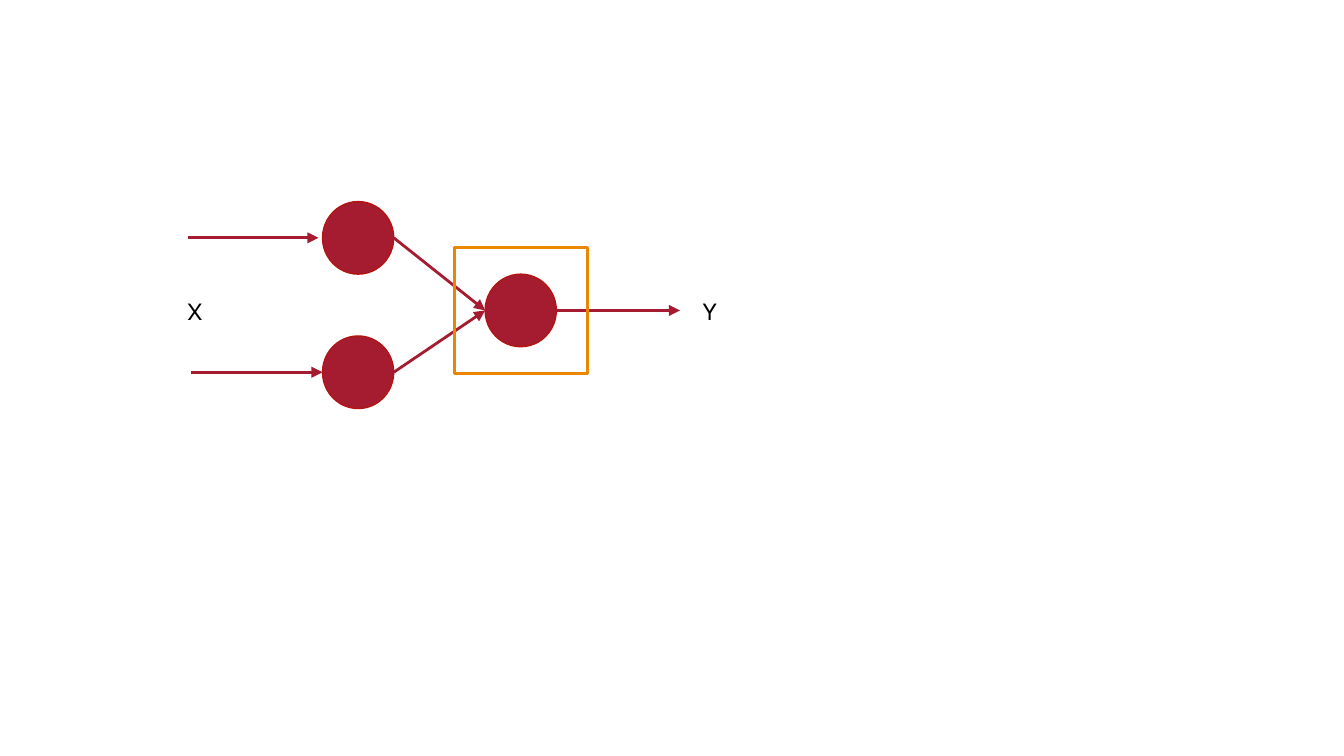
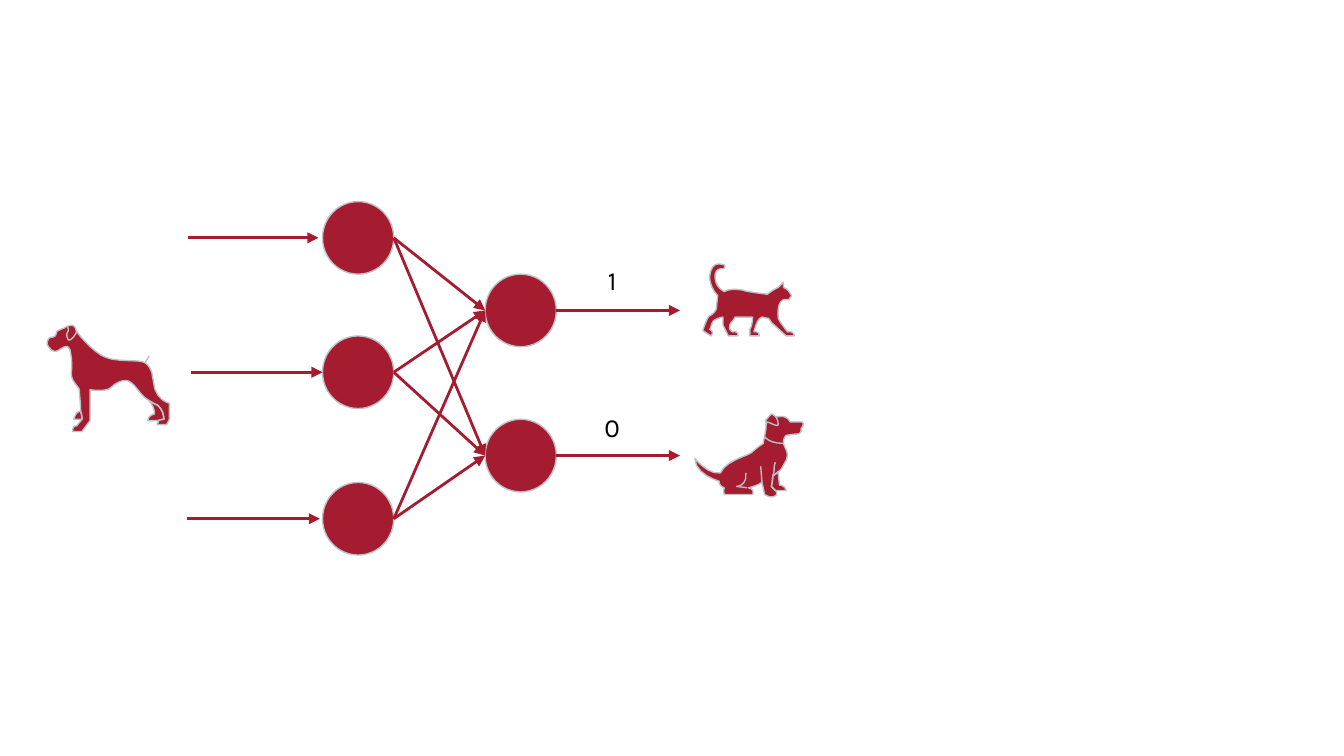
from itertools import product

from lxml import etree
from pptx import Presentation
from pptx.dml.color import RGBColor
from pptx.enum.shapes import MSO_CONNECTOR, MSO_SHAPE
from pptx.enum.text import MSO_AUTO_SIZE, PP_ALIGN
from pptx.oxml.ns import qn
from pptx.util import Inches, Pt

STRAIGHT = MSO_CONNECTOR.STRAIGHT
OVAL, RECTANGLE = MSO_SHAPE.OVAL, MSO_SHAPE.RECTANGLE
LEFT, CENTER = PP_ALIGN.LEFT, PP_ALIGN.CENTER
GROW = MSO_AUTO_SIZE.SHAPE_TO_FIT_TEXT

CRIMSON, RED, GREY, ORANGE, BLACK = "A51C30", "B31412", "BDC1C6", "EA8600", "000000"
FONT = "Karla"
BLANK_LAYOUT = 6

# Network grid, in inches from the top left corner of the network's box
NETWORK_LEFT, NETWORK_TOP = 1.4, 1.5
NEURON_WIDTH, NEURON_HEIGHT = 0.53, 0.54
INPUT_LEFT, OUTPUT_LEFT, NETWORK_WIDTH = 1, 2.21, 3.66
INPUT_ROWS = (0.27, 1.27, 2.36)
INPUT_ARROW_SPANS = ((0, 0.97), (0.02, 1), (-0.01, 0.98))
OUTPUT_ROWS = (0.81, 1.89)

# Outlines, in hundredths of an inch from the top left corner of the animal's box
CAT = """M 16 21 C 16 21 9 18 9 10 C 9 4 13 4 15 4 C 15 4 16 4 16 3 C 17 2 16 1 15 1
C 12 0 6 -1 5 10 C 5 10 5 18 11 24 L 10 34 C 10 34 8 38 5 39 C 3 40 0 50 0 50 L 6 54
C 6 54 9 51 5 49 C 6 50 6 43 9 42 C 13 40 15 40 15 40 L 15 46 L 19 54 L 26 54
C 26 54 27 50 22 51 C 22 51 19 49 20 47 C 20 44 22 44 24 40 L 37 40
C 37 40 37 46 35 49 L 35 54 L 42 54 C 42 54 42 50 38 51 C 38 51 40 41 44 40
L 49 41 L 51 44 L 62 54 L 68 54 C 68 54 68 50 63 51 C 63 51 55 41 56 40
C 56 38 55 29 60 27 L 64 27 L 66 24 L 64 21 C 64 21 63 19 60 18 L 60 14 L 56 18
C 56 18 53 19 48 23 C 48 23 31 21 30 20 C 30 20 21 18 16 21 Z"""

SITTING_DOG = """M 63 53 L 62 43 C 61 44 60 45 58 46 C 58 50 57 54 57 54
C 57 54 59 56 60 57 L 68 57 C 67 53 63 53 63 53 Z
M 60 2 C 61 2 62 2 63 2 C 69 1 71 6 71 6 L 80 6 C 82 8 79 11 79 11
C 79 11 80 15 76 15 C 73 15 68 16 68 16 C 66 18 66 20 66 22 C 67 26 72 30 66 38
C 65 40 64 42 62 43 C 61 44 60 45 58 46 C 58 50 57 54 57 54 C 57 54 59 56 60 57
C 61 58 61 59 61 60 C 61 60 58 64 52 60 L 50 51 C 45 54 40 55 40 55
C 45 56 43 60 43 60 L 22 60 C 21 57 22 55 22 55 C 22 55 18 54 18 50
C 18 50 0 45 0 33 C 0 33 9 45 19 44 C 23 35 37 32 42 29 C 46 25 51 22 51 22
C 51 22 51 20 52 17 C 52 15 53 12 53 10 C 53 8 53 7 54 6 C 54 6 53 6 53 6
C 51 6 57 0 57 0 C 57 0 58 0 60 2 Z"""
SITTING_DOG_DETAILS = """M 60 2 C 61 3 62 5 62 8 C 62 10 57 7 54 6
M 50 51 L 49 39 M 58 46 C 59 44 59 42 59 41 C 59 38 60 36 60 36
M 39 55 L 31 54 C 31 54 39 54 38 44 M 52 17 C 52 17 55 22 66 22"""

STANDING_DOG = """M 25 64 C 26 67 26 69 26 70 L 20 70 C 20 70 21 64 25 64 Z
M 15 1 C 15 1 14 1 13 2 C 10 3 8 4 7 5 C 7 7 6 9 3 9 C 1 9 0 12 0 14
C 1 16 4 21 8 19 C 13 16 15 14 17 18 C 18 22 19 30 18 36 C 18 42 24 46 24 48
C 24 50 25 58 25 64 C 26 67 26 69 26 70 L 22 75 C 22 75 19 74 19 79 L 26 79
L 32 71 L 32 48 C 32 48 45 50 48 46 C 52 42 59 39 63 43 C 67 46 70 53 76 56
C 77 57 78 57 79 58 C 87 60 87 70 87 70 C 87 70 84 70 83 71 C 83 72 82 73 82 74
L 89 74 L 91 70 L 91 58 C 91 58 80 56 79 41 C 78 27 70 27 70 27
C 67 26 51 27 44 24 C 37 22 26 10 23 6 C 23 5 22 5 22 5 C 21 -3 15 1 15 1 Z
M 76 56 C 76 57 80 60 80 66 C 80 66 75 67 75 71 L 83 71 C 84 70 87 70 87 70
C 87 70 87 60 79 58 C 78 57 77 57 76 56 Z"""
STANDING_DOG_DETAILS = """M 15 1 C 15 1 17 3 15 6 C 14 8 16 11 16 11 C 18 12 22 6 22 5
M 76 23 L 73 28"""


def color(hex_string):
    return RGBColor.from_string(hex_string)


def style(shape, fill, line, width=0.75):
    shape.shadow.inherit = False
    if fill:
        shape.fill.solid()
        shape.fill.fore_color.rgb = color(fill)
    else:
        shape.fill.background()
    shape.line.color.rgb = color(line)
    shape.line.width = Pt(width)


def add_preset(page, kind, left, top, width, height, fill, line, line_width=0.75):
    shape = page.shapes.add_shape(
        kind, Inches(left), Inches(top), Inches(width), Inches(height))
    style(shape, fill, line, line_width)


def add_arrow(page, start, end):
    arrow = page.shapes.add_connector(STRAIGHT, *map(Inches, (*start, *end)))
    arrow.line.color.rgb = color(CRIMSON)
    arrow.line.width = Pt(1.5)
    properties = arrow.element.spPr
    etree.SubElement(properties.find(qn("a:ln")), qn("a:tailEnd"), type="triangle")
    etree.SubElement(properties, qn("a:effectLst"))


def add_label(page, text, left, top, width, align=LEFT):
    box = page.shapes.add_textbox(
        Inches(left), Inches(top), Inches(width), Inches(0.43))
    frame = box.text_frame
    frame.word_wrap = True
    frame.auto_size = GROW
    frame.margin_left = frame.margin_right = Inches(0.1)
    frame.margin_top = frame.margin_bottom = Inches(0.1)
    para = frame.paragraphs[0]
    para.text = text
    para.alignment = align
    para.font.name = FONT
    para.font.size = Pt(14)
    para.font.color.rgb = color(BLACK)


def curve_points(start, controls, steps=6):
    """Points along a cubic Bezier curve, without its start."""
    first, second, end = controls
    for step in range(1, steps + 1):
        t = step / steps
        weights = ((1 - t) ** 3, 3 * t * (1 - t) ** 2, 3 * t ** 2 * (1 - t), t ** 3)
        yield tuple(sum(weight * value for weight, value in zip(weights, axis))
                    for axis in zip(start, first, second, end))


def trace(outline):
    """Turn M, L, C and Z commands into (points, closed) contours."""
    contours = []
    tokens = iter(outline.split())

    def read_point():
        return int(next(tokens)), int(next(tokens))

    for command in tokens:
        if command == "M":
            points = [read_point()]
            contours.append((points, False))
        elif command == "L":
            points.append(read_point())
        elif command == "C":
            controls = [read_point() for _ in range(3)]
            points.extend(curve_points(points[-1], controls))
        else:
            contours[-1] = (points, True)
    return contours


def add_outline(page, outline, left, top, fill):
    contours = [([(Inches(x / 100), Inches(y / 100)) for x, y in points], closed)
                for points, closed in trace(outline)]
    builder = page.shapes.build_freeform(*contours[0][0][0])
    for index, (points, closed) in enumerate(contours):
        if index:
            builder.move_to(*points[0])
        builder.add_line_segments(points[1:], close=closed)
    style(builder.convert_to_shape(Inches(left), Inches(top)), fill, GREY)


def add_animal(page, left, top, body, details=None):
    add_outline(page, body, left, top, CRIMSON)
    if details:
        add_outline(page, details, left, top, None)


def add_network(page, left, top, input_rows, output_rows, neuron_line):
    """Fully connected layers; rows are the neurons' centres below top."""
    inputs = [top + row for row in input_rows]
    outputs = [top + row for row in output_rows]
    input_left, output_left = left + INPUT_LEFT, left + OUTPUT_LEFT
    for column, centres in ((input_left, inputs), (output_left, outputs)):
        for centre in centres:
            add_preset(page, OVAL, column, centre - NEURON_HEIGHT / 2,
                       NEURON_WIDTH, NEURON_HEIGHT, CRIMSON, neuron_line)
    for y, (start, end) in zip(inputs, INPUT_ARROW_SPANS):
        add_arrow(page, (left + start, y), (left + end, y))
    for source, target in product(inputs, outputs):
        add_arrow(page, (input_left + NEURON_WIDTH, source), (output_left, target))
    for y in outputs:
        add_arrow(page, (output_left + NEURON_WIDTH, y), (left + NETWORK_WIDTH, y))


def build_single_output_slide(page):
    add_network(page, NETWORK_LEFT, NETWORK_TOP, INPUT_ROWS[:2], OUTPUT_ROWS[:1], RED)
    add_preset(page, RECTANGLE, 3.38, 1.84, 0.99, 0.94, None, ORANGE, 1.5)
    for text, left in (("X", 1.29), ("Y", 5.13)):
        add_label(page, text, left, 2.09, 0.44)


def build_classifier_slide(page):
    add_network(page, NETWORK_LEFT, NETWORK_TOP, INPUT_ROWS, OUTPUT_ROWS, GREY)
    add_animal(page, 5.23, 1.96, CAT)
    add_animal(page, 5.17, 3.08, SITTING_DOG, SITTING_DOG_DETAILS)
    add_animal(page, 0.35, 2.42, STANDING_DOG, STANDING_DOG_DETAILS)
    for text, top in (("0", 2.96), ("1", 1.87)):
        add_label(page, text, 4.37, top, 0.37, CENTER)


def main():
    deck = Presentation()
    deck.slide_width = Inches(10)
    deck.slide_height = deck.slide_width * 9 // 16
    for build in (build_single_output_slide, build_classifier_slide):
        build(deck.slides.add_slide(deck.slide_layouts[BLANK_LAYOUT]))
    deck.save("out.pptx")


if __name__ == "__main__":
    main()
